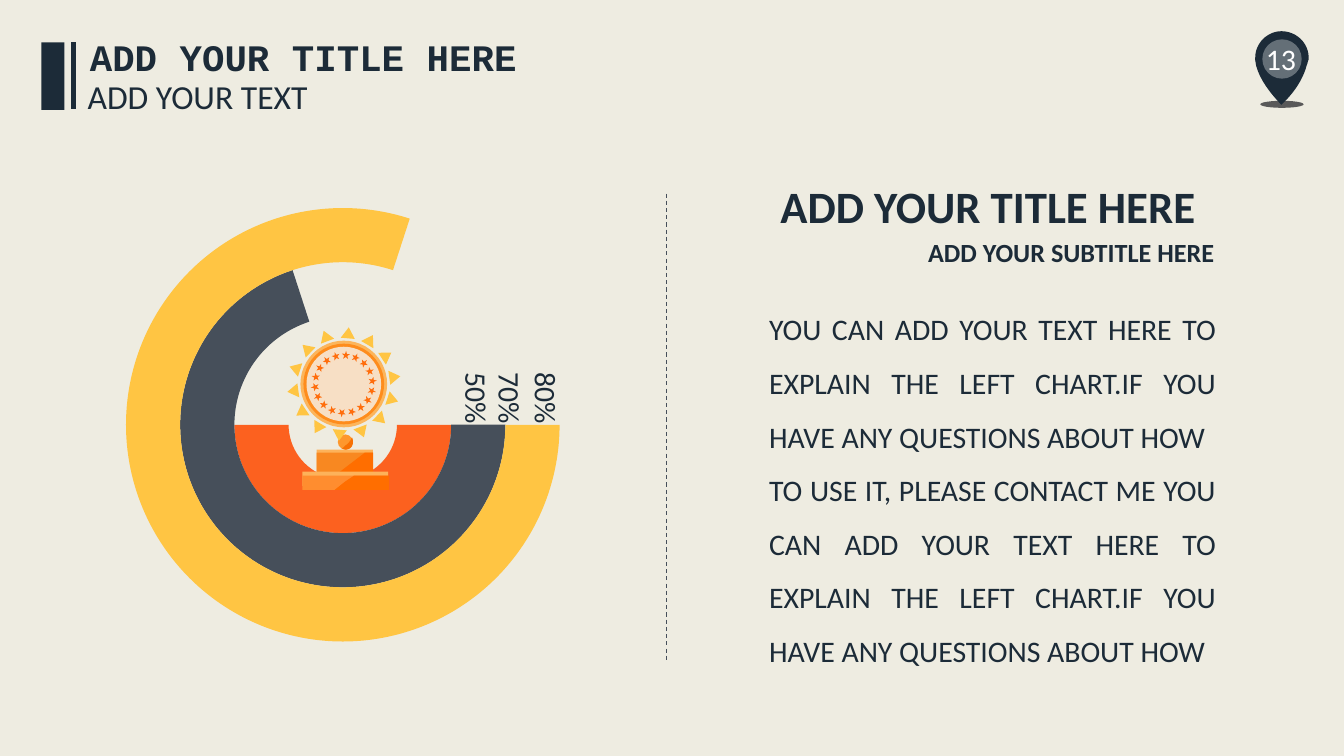
import math
import pptx
import pptx.util
import pptx.chart.data
import pptx.enum.chart
import pptx.enum.dml
import pptx.enum.shapes
import pptx.enum.text
import pptx.oxml.ns
from lxml import etree
from pptx.dml.color import RGBColor
from pptx.util import Inches

CREAM = RGBColor(0xEE, 0xEC, 0xE1)
NAVY = RGBColor(0x1C, 0x2B, 0x38)
SLATE = RGBColor(0x46, 0x4F, 0x5A)
GRAY = RGBColor(0x59, 0x59, 0x59)
WHITE = RGBColor(0xFF, 0xFF, 0xFF)
BLACK = RGBColor(0, 0, 0)
RED = RGBColor(0xFC, 0x61, 0x1F)
GOLD = RGBColor(0xFF, 0xC5, 0x43)
PEACH = RGBColor(0xFD, 0xB2, 0x5A)
AMBER = RGBColor(0xF8, 0x88, 0x21)
LIGHT = RGBColor(0xFF, 0x8D, 0x2F)
DEEP = RGBColor(0xFF, 0x6E, 0x00)
BALL = RGBColor(0xFE, 0x97, 0x2D)
SHADE = RGBColor(0xF7, 0x71, 0x04)
RIM = RGBColor(0xFC, 0xB5, 0x5B)
BAND = RGBColor(0xFE, 0x8C, 0x1C)
FACE = RGBColor(0xF7, 0xDF, 0xC5)
STAR = RGBColor(0xFF, 0x6D, 0x0C)

KIND = pptx.enum.shapes.MSO_SHAPE
ALIGN = pptx.enum.text.PP_ALIGN
qn = pptx.oxml.ns.qn

deck = pptx.Presentation()
deck.slide_width, deck.slide_height = Inches(13.33), Inches(7.5)
slide = deck.slides.add_slide(deck.slide_layouts[6])
slide.background.fill.solid()
slide.background.fill.fore_color.rgb = CREAM
shapes = slide.shapes


def paint(shape, color):
    shape.shadow.inherit = False
    shape.fill.solid()
    shape.fill.fore_color.rgb = color
    shape.line.fill.background()
    return shape


def outline(start, parts, color):
    """Close a shape from line ends (x, y) and cubic curves (six numbers)."""
    dots = [start]
    for part in parts:
        if len(part) == 2:
            dots.append(part)
            continue
        a, b, c, d = dots[-1], part[:2], part[2:4], part[4:]
        for step in range(1, 13):
            t = step / 12
            u = 1 - t
            dots.append(tuple(u**3 * a[i] + 3 * u * u * t * b[i]
                              + 3 * u * t * t * c[i] + t**3 * d[i] for i in (0, 1)))
    form = shapes.build_freeform(Inches(start[0]), Inches(start[1]))
    form.add_line_segments([(Inches(x), Inches(y)) for x, y in dots[1:]])
    paint(form.convert_to_shape(), color)


# Page pin
paint(shapes.add_shape(KIND.OVAL, Inches(12.5), Inches(1), Inches(0.43), Inches(0.07)), GRAY)
outline((12.98, 0.59), [
    (12.98, 0.58, 12.98, 0.57, 12.98, 0.57), (12.98, 0.43, 12.86, 0.31, 12.71, 0.31),
    (12.57, 0.31, 12.45, 0.43, 12.45, 0.57), (12.45, 0.6),
    (12.47, 0.81, 12.71, 1.04, 12.71, 1.04), (12.88, 0.88, 12.94, 0.73, 12.96, 0.65),
    (12.97, 0.63, 12.97, 0.61, 12.98, 0.59)], NAVY)
disc = paint(shapes.add_shape(KIND.OVAL, Inches(12.52), Inches(0.39),
                              Inches(0.39), Inches(0.39)), WHITE)
tint = disc._element.spPr.find(".//" + qn("a:srgbClr"))
etree.SubElement(tint, qn("a:alpha")).set("val", "32000")

# Ring chart
rings = [(50, RED), (70, SLATE), (80, GOLD)]
data = pptx.chart.data.CategoryChartData()
data.categories = ["1", ""]
for num, (share, color) in enumerate(rings, 1):
    data.add_series(f"Series {num}", (share, 100 - share))
chart = shapes.add_chart(pptx.enum.chart.XL_CHART_TYPE.DOUGHNUT, Inches(0.04), Inches(1.91),
                         Inches(6.72), Inches(4.61), data).chart
chart.has_legend = False
chart.has_title = False
chart.font.size = pptx.util.Pt(18)
chart.font.name = "Calibri"
chart.font.color.rgb = BLACK
plot = chart.plots[0]
plot.vary_by_categories = False
for ring, (share, color) in zip(plot.series, rings):
    done, rest = ring.points[0].format, ring.points[1].format
    done.fill.solid()
    done.fill.fore_color.rgb = color
    rest.fill.background()
    for part in (done, rest):
        part.line.fill.background()
space = chart._chartSpace
space.find(".//" + qn("c:firstSliceAng")).set("val", "90")
area = space.find(".//" + qn("c:plotArea"))
frame = area.find(qn("c:layout"))
if frame is None:
    frame = etree.Element(qn("c:layout"))
    area.insert(0, frame)
manual = etree.SubElement(frame, qn("c:manualLayout"))
for tag, val in [("layoutTarget", "inner"), ("xMode", "edge"), ("yMode", "edge"),
                 ("x", "0.18"), ("y", "0.03"), ("w", "0.64"), ("h", "0.94")]:
    etree.SubElement(manual, qn("c:" + tag)).set("val", val)

# Trophy stand
for x, y, w, h, color in [(3.14, 4.46, 0.56, 0.23, PEACH), (3.14, 4.49, 0.56, 0.23, AMBER)]:
    paint(shapes.add_shape(KIND.RECTANGLE, Inches(x), Inches(y), Inches(w), Inches(h)), color)
outline((3.32, 4.72), [(3.7, 4.72), (3.7, 4.49), (3.62, 4.49)], DEEP)
for y, color in [(4.68, PEACH), (4.72, LIGHT)]:
    paint(shapes.add_shape(KIND.RECTANGLE, Inches(3), Inches(y), Inches(0.85), Inches(0.14)), color)
outline((3.32, 4.86), [(3.86, 4.86), (3.86, 4.72), (3.51, 4.72), (3.42, 4.78)], DEEP)
paint(shapes.add_shape(KIND.OVAL, Inches(3.35), Inches(4.31), Inches(0.15), Inches(0.15)), BALL)
outline((3.44, 4.41), [
    (3.42, 4.42, 3.41, 4.44, 3.39, 4.45), (3.4, 4.45, 3.41, 4.46, 3.43, 4.46),
    (3.47, 4.46, 3.5, 4.43, 3.5, 4.39), (3.5, 4.37, 3.5, 4.35, 3.49, 4.34),
    (3.48, 4.37, 3.46, 4.39, 3.44, 4.41)], SHADE)

# Medal: discs, then stars and rays set around the centre
mid_x, mid_y = 3.41, 3.81
for size, color in [(0.86, RIM), (0.8, BAND), (0.74, FACE)]:
    paint(shapes.add_shape(KIND.OVAL, Inches(mid_x - size / 2), Inches(mid_y - size / 2),
                           Inches(size), Inches(size)), color)
for kind, count, first, reach, w, h, color in [
        (KIND.STAR_5_POINT, 18, 4, 0.29, 0.08, 0.08, STAR),
        (KIND.ISOSCELES_TRIANGLE, 14, 5, 0.51, 0.14, 0.11, GOLD)]:
    for i in range(count):
        turn = first + 360 * i / count
        x = mid_x + reach * math.sin(math.radians(turn))
        y = mid_y - reach * math.cos(math.radians(turn))
        mark = paint(shapes.add_shape(kind, Inches(x - w / 2), Inches(y - h / 2),
                                      Inches(w), Inches(h)), color)
        mark.rotation = turn

# Divider and title bars
paint(shapes.add_shape(KIND.RECTANGLE, Inches(0.41), Inches(0.42), Inches(0.23), Inches(0.67)), NAVY)
for x, top, end, color, width in [(6.61, 1.92, 6.56, SLATE, 0.75), (0.73, 0.42, 1.08, NAVY, 3)]:
    rule = shapes.add_connector(pptx.enum.shapes.MSO_CONNECTOR.STRAIGHT,
                                Inches(x), Inches(top), Inches(x), Inches(end))
    rule.line.color.rgb = color
    rule.line.width = pptx.util.Pt(width)
    if color == SLATE:
        rule.line.dash_style = pptx.enum.dml.MSO_LINE.DASH
    etree.SubElement(rule._element.spPr, qn("a:effectLst"))

# Texts: place, words, size, bold, alignment, wrap
ask = "EXPLAIN THE LEFT CHART.IF YOU HAVE ANY QUESTIONS ABOUT HOW"
body = (f"YOU CAN ADD YOUR TEXT HERE TO {ask}\n"
        f"TO USE IT, PLEASE CONTACT ME YOU CAN ADD YOUR TEXT HERE TO {ask}")
texts = [
    ((11.15, 0.38, 3.11, 0.4), "13", 21.3, False, ALIGN.CENTER, True),
    ((4.4, 3.6, 0.56, 0.62), "50%", 21.3, False, ALIGN.LEFT, False),
    ((4.73, 3.6, 0.56, 0.62), "70%", 21.3, False, ALIGN.LEFT, False),
    ((5.09, 3.6, 0.56, 0.62), "80%", 21.3, False, ALIGN.LEFT, False),
    ((7.53, 2.86, 4.63, 3.87), body, 21.3, False, ALIGN.JUSTIFY, True),
    ((7.57, 1.72, 4.46, 0.64), "ADD YOUR TITLE HERE", 32, True, ALIGN.CENTER, False),
    ((9.09, 2.3, 3.07, 0.42), "ADD YOUR SUBTITLE HERE", 18.7, True, ALIGN.CENTER, False),
    ((0.79, 0.29, 4.44, 0.55), "ADD YOUR TITLE HERE", 26.7, True, ALIGN.CENTER, False),
    ((0.77, 0.7, 2.41, 0.5), "ADD YOUR TEXT", 24, False, ALIGN.LEFT, False),
]
for place, words, size, bold, align, wrap in texts:
    text = shapes.add_textbox(*[Inches(v) for v in place]).text_frame
    text.text = words
    text.word_wrap = wrap
    if words == "13":
        text.vertical_anchor = pptx.enum.text.MSO_ANCHOR.MIDDLE
    else:
        text.auto_size = pptx.enum.text.MSO_AUTO_SIZE.SHAPE_TO_FIT_TEXT
    if words.endswith("%"):
        text._txBody.bodyPr.set("vert", "eaVert")
    for para in text.paragraphs:
        para.alignment = align
        if words == body:
            para.line_spacing = 1.5
        for run in para.runs:
            run.font.name = "Courier New" if size == 26.7 else "Calibri"
            run.font.size = pptx.util.Pt(size)
            run.font.bold = bold
            run.font.color.rgb = WHITE if words == "13" else NAVY

deck.save("out.pptx")
